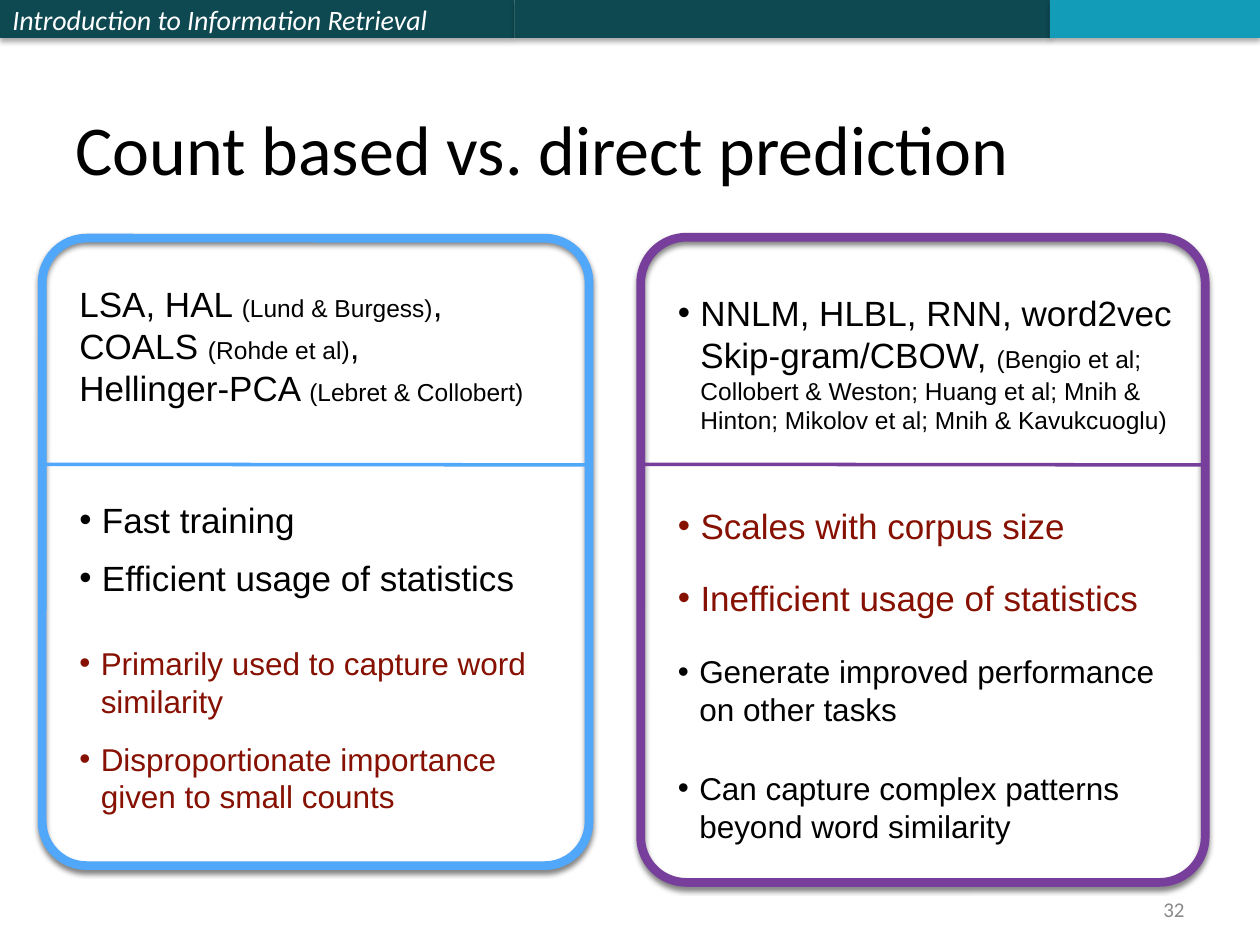
from lxml import etree
from pptx import Presentation, util as u
from pptx.dml.color import RGBColor
from pptx.enum import shapes, text
from pptx.oxml.ns import qn

COLORS = {"dark": "0E4851", "teal": "139CB7", "white": "FFFFFF", "black": "000000",
          "blue": "51A7F9", "purple": "773F9B", "red": "861001", "gray": "898989"}
INDENTS = {20: 0.18, 18: 0.17}  # bullet indent in inches by text size
CELL = 0.1  # grid of 100 columns by 75 rows


def rgb(name):
    return RGBColor.from_string(COLORS[name])


def grid(*cells):
    return [u.Inches(n * CELL) for n in cells]


def add_effects(shape, shadow=None):
    """Adds a downward shadow (opacity, blur, distance), or an empty effect list."""
    props = shape._element.spPr
    effects = etree.SubElement(props, qn("a:effectLst"))
    if shadow:
        opacity, blur, distance = shadow
        outer = etree.SubElement(effects, qn("a:outerShdw"), blurRad=str(u.Pt(blur)),
                                 dist=str(u.Pt(distance)), dir="5400000", rotWithShape="0")
        shade = etree.SubElement(outer, qn("a:srgbClr"), val=COLORS["black"])
        etree.SubElement(shade, qn("a:alpha"), val=str(opacity * 1000))


def add_runs(paragraph, runs, color, font="Arial", italic=None):
    """Each run is (text, size); a newline in the text is a line break."""
    for words, size in runs:
        for i, part in enumerate(words.split("\n")):
            if i:
                paragraph.add_line_break()
            run = paragraph.add_run()
            run.text = part
            run.font.size, run.font.name, run.font.italic = u.Pt(size), font, italic
            run.font.color.rgb = rgb(color)


def add_entry(slide, box, runs, color, indent=0):
    """One outline holding text, bulleted when it has an indent in inches."""
    left, top, width, height = grid(*box)
    right, bottom = left + width, top + height
    outline = slide.shapes.build_freeform(left, top)
    outline.add_line_segments([(right, top), (right, bottom), (left, bottom)], close=True)
    entry = outline.convert_to_shape()
    entry.fill.background()
    entry.line.fill.background()
    add_effects(entry)

    frame = entry.text_frame
    frame.word_wrap = True
    frame.vertical_anchor = text.MSO_ANCHOR.MIDDLE
    frame.margin_left = frame.margin_right = u.Inches(0.06)
    frame.margin_top = frame.margin_bottom = u.Inches(0.06)
    paragraph = frame.paragraphs[0]
    paragraph.alignment = text.PP_ALIGN.LEFT
    if indent:
        props = paragraph._p.get_or_add_pPr()
        props.set("marL", str(u.Inches(indent)))
        props.set("indent", str(-u.Inches(indent)))
        etree.SubElement(props, qn("a:buFont"), typeface="Arial")
        etree.SubElement(props, qn("a:buChar"), char="•")
    add_runs(paragraph, runs, color)


def add_header(slide, height):
    left = 0
    bands = [(40.83, "dark", "Introduction to Information Retrieval"),
             (42.5, "dark", ""), (16.67, "teal", "")]
    for width, color, course in bands:
        band = slide.shapes.add_shape(shapes.MSO_SHAPE.RECTANGLE, *grid(left, 0, width, height))
        band.fill.solid()
        band.fill.fore_color.rgb = rgb(color)
        band.line.fill.background()
        add_effects(band, (35, 3.1, 1.8))
        if course:
            frame = band.text_frame
            frame.vertical_anchor = text.MSO_ANCHOR.MIDDLE
            frame.paragraphs[0].alignment = text.PP_ALIGN.LEFT
            add_runs(frame.paragraphs[0], [(course, 16)], "white", "Calibri", True)
        left += width


def add_title(slide, box, words):
    title = slide.shapes.title
    title.left, title.top, title.width, title.height = grid(*box)
    title.text_frame.vertical_anchor = text.MSO_ANCHOR.BOTTOM
    paragraph = title.text_frame.paragraphs[0]
    paragraph.alignment = text.PP_ALIGN.LEFT
    add_runs(paragraph, [(words, 40)], "black", "Calibri")


def add_panel(slide, box, color, methods, groups):
    """Rounded frame with methods above the divider and groups of points below."""
    left, top, width, height = box
    frame = slide.shapes.add_shape(shapes.MSO_SHAPE.ROUNDED_RECTANGLE, *grid(*box))
    frame.adjustments[0] = 0.081
    frame.fill.background()
    frame.line.color.rgb, frame.line.width = rgb(color), u.Pt(5)
    add_effects(frame, (50, 3, 2))

    divider = slide.shapes.add_connector(
        shapes.MSO_CONNECTOR.STRAIGHT, *grid(left, 36.85, left + width, 36.9))
    divider.line.color.rgb, divider.line.width = rgb(color), u.Pt(2)
    add_effects(divider)

    inner_left, inner_width = left + 2.35, width - 3.8
    row, rows, indent, runs = methods
    add_entry(slide, (inner_left, row, inner_width, rows), runs, "black", indent)
    for row, rows, step, extra, size, ink, points in groups:
        for i, point in enumerate(points):
            add_entry(slide, (inner_left, row + i * step, inner_width + extra, rows),
                      [(point, size)], ink, INDENTS[size])


def add_page_number(slide, box, number):
    frame = slide.shapes.add_textbox(*grid(*box)).text_frame
    frame.word_wrap = True
    frame.vertical_anchor = text.MSO_ANCHOR.MIDDLE
    frame.paragraphs[0].alignment = text.PP_ALIGN.RIGHT
    add_runs(frame.paragraphs[0], [(number, 12)], "gray", "Calibri")


def main():
    deck = Presentation()
    deck.slide_width, deck.slide_height = grid(100, 75)
    slide = deck.slides.add_slide(deck.slide_layouts[5])

    add_header(slide, 3.02)
    add_title(slide, (5, 3.05, 90, 12.5), "Count based vs. direct prediction")

    # Count based: (row, rows, indent, runs),
    # then (row, rows, step, extra width, size, ink, points)
    add_panel(slide, (3.35, 18.9, 43.4, 49.8), "blue",
              (21.6, 11.6, 0,
               [("LSA, HAL ", 20), ("(Lund & Burgess)", 14), (", COALS ", 20),
                ("(Rohde et al)", 14), (", \nHellinger-PCA ", 20),
                ("(Lebret & Collobert)", 14)]),
              [(39.1, 4.3, 4.55, 0, 20, "black",
                ["Fast training", "Efficient usage of statistics"]),
               (50.4, 7.4, 7.6, 0, 18, "red",
                ["Primarily used to capture word similarity",
                 "Disproportionate importance given to small counts"])])

    # Direct prediction
    add_panel(slide, (50.85, 18.83, 44.8, 51.2), "purple",
              (21.13, 15.4, INDENTS[20],
               [("NNLM, HLBL, RNN, word2vec Skip-gram/CBOW, ", 20),
                ("(Bengio et al; Collobert & Weston; Huang et al; Mnih & Hinton; "
                 "Mikolov et al; Mnih & Kavukcuoglu)", 14)]),
              [(39, 5.4, 5.7, 7.8, 20, "red",
                ["Scales with corpus size", "Inefficient usage of statistics"]),
               (50.17, 9.2, 9.27, 0, 18, "black",
                ["Generate improved performance \non other tasks",
                 "Can capture complex patterns \nbeyond word similarity"])])

    add_page_number(slide, (71.7, 70.8, 23.3, 2.7), "32")
    deck.save("out.pptx")


if __name__ == "__main__":
    main()
